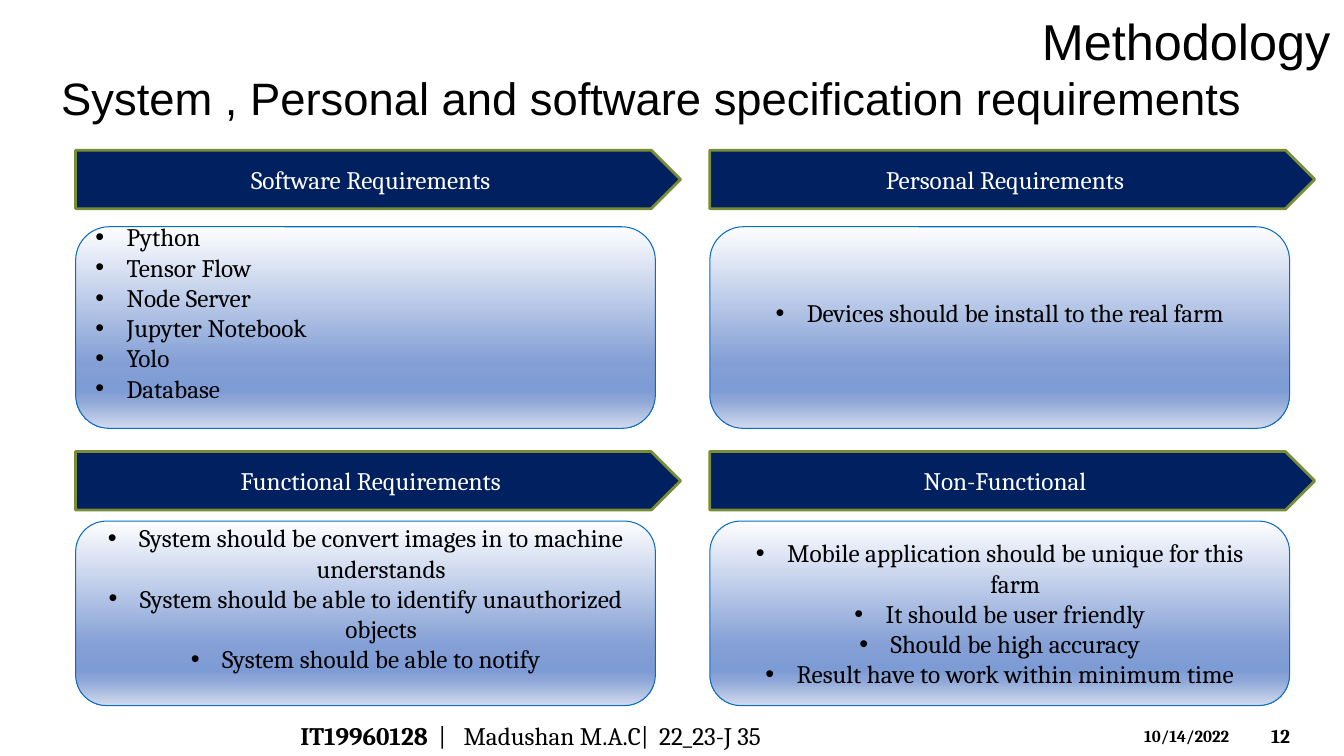
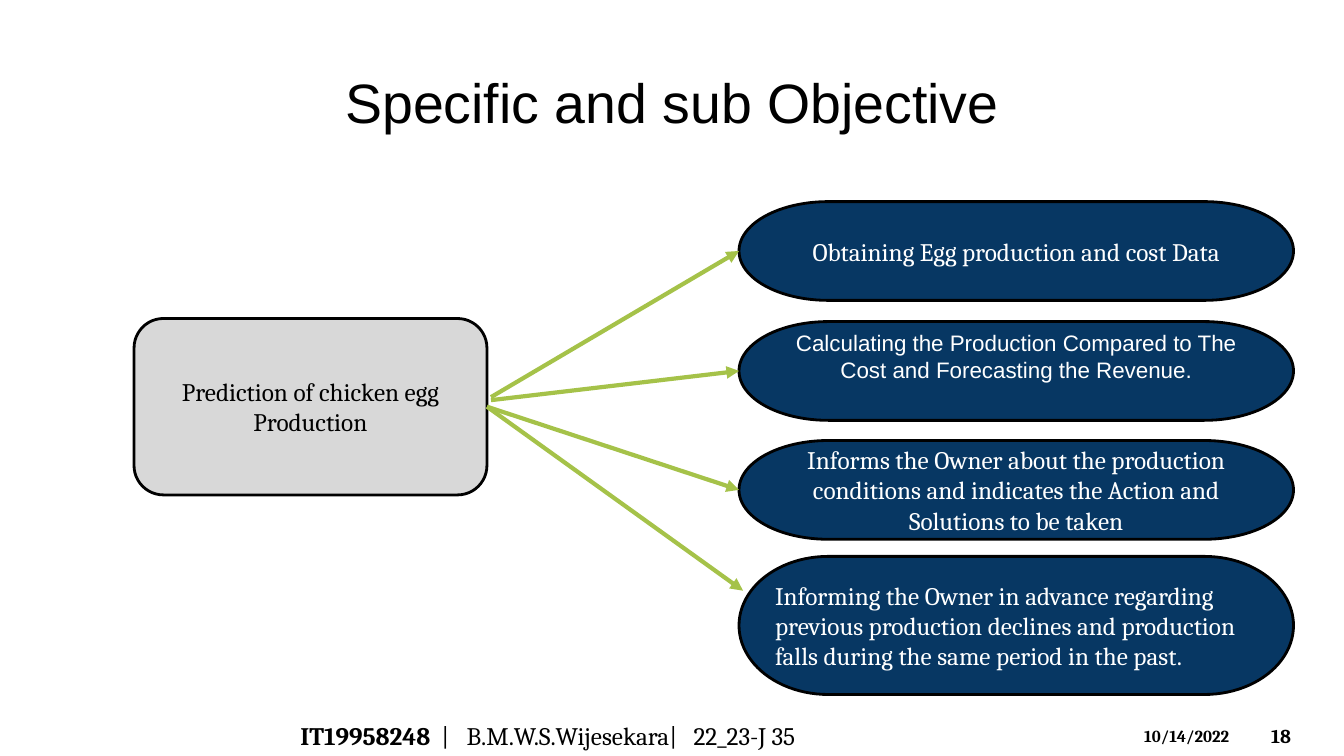
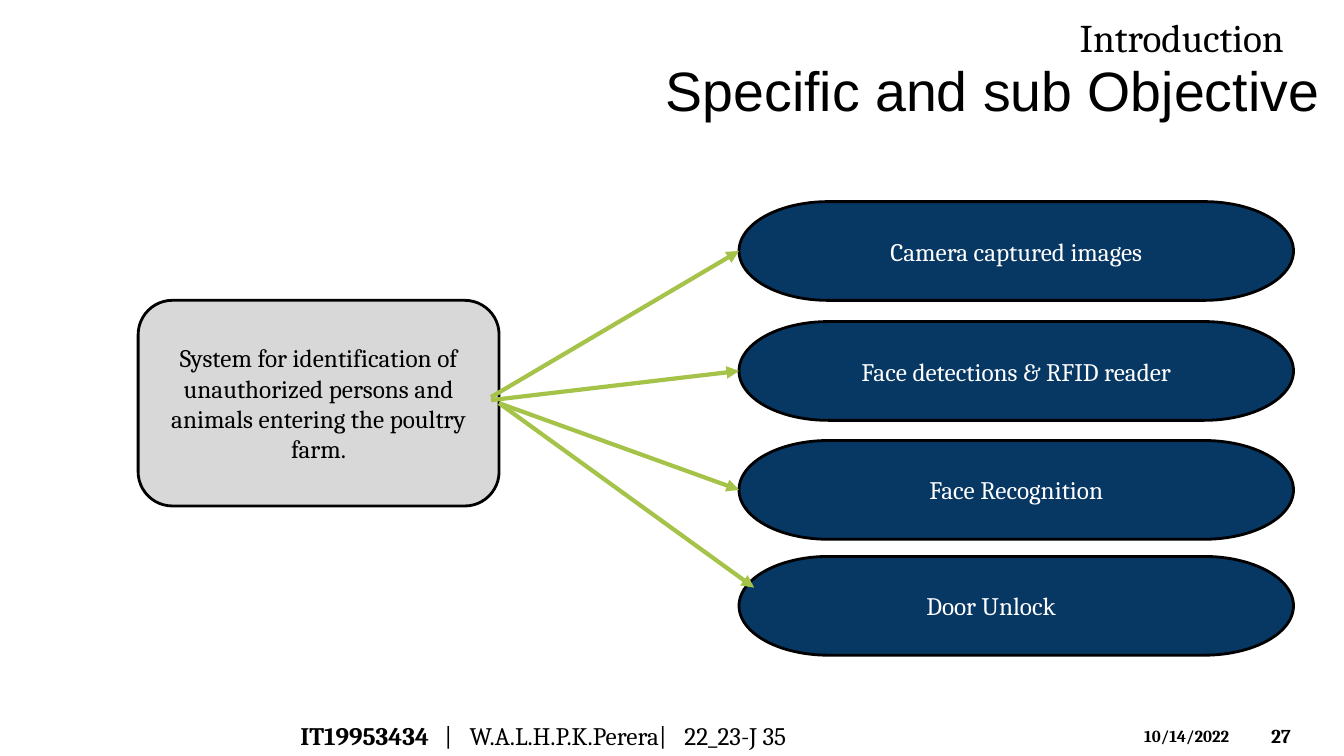
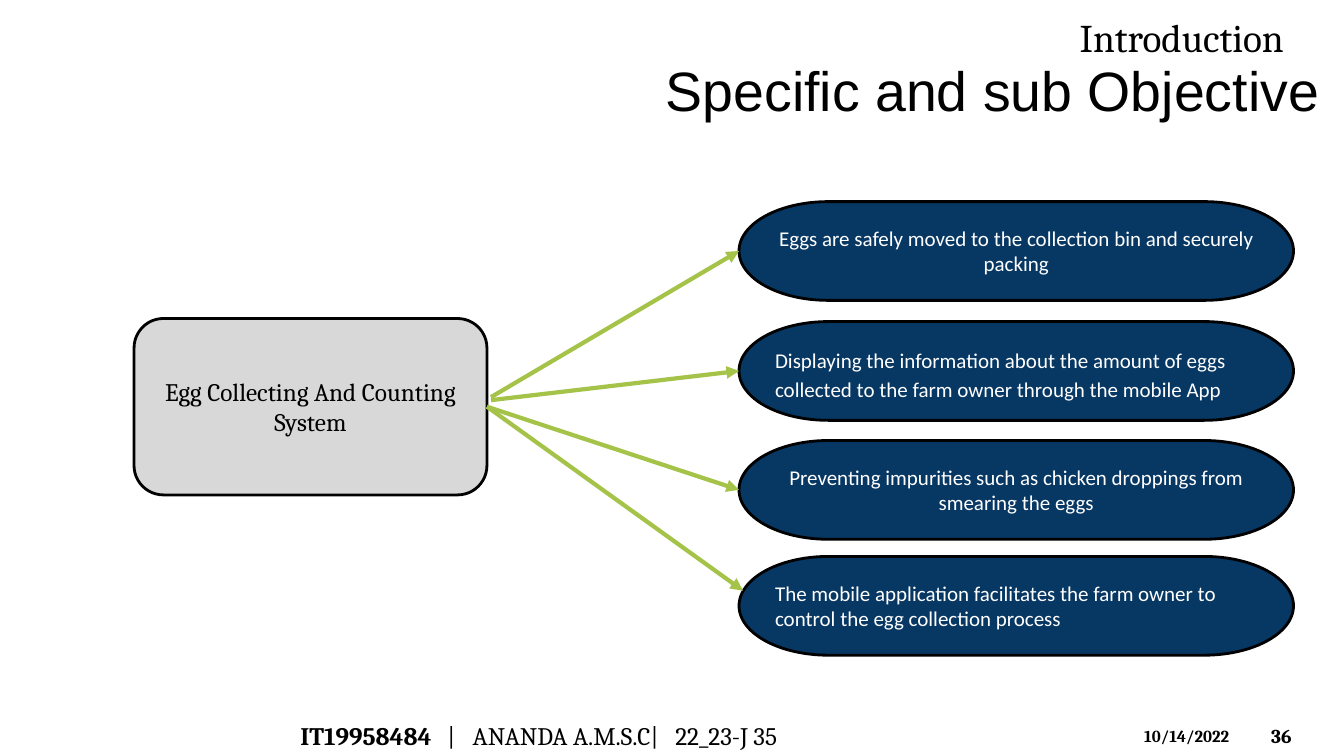
from dataclasses import dataclass
from lxml.etree import SubElement
from pptx import Presentation
from pptx.dml.color import RGBColor
from pptx.enum.shapes import MSO_CONNECTOR as Link, MSO_SHAPE as Kind
from pptx.enum.text import MSO_ANCHOR as Anchor, MSO_AUTO_SIZE as Fit, PP_ALIGN as Align
from pptx.oxml.ns import qn
from pptx.util import Inches, Pt


@dataclass(frozen=True)
class Theme:
    black: str = "000000"
    white: str = "FFFFFF"
    navy: str = "002060"
    olive: str = "788D35"
    blue: str = "096CC5"
    deep: str = "073763"
    gray: str = "D8D8D8"
    green: str = "A5C249"
    fade: tuple = ((0, "FEFEFF"), (68, "839FD5"), (81, "7D9BD4"),
                   (86, "8DA6D7"), (100, "D1DAED"))
    sans: str = "Arial"
    serif: str = "Cambria"
    plain: str = "Calibri"
    head: float = 39.6
    long: float = 32.4
    topic: int = 36
    intro: int = 28
    body: int = 18
    mid: int = 16
    small: int = 15
    page: int = 14
    date: int = 12


T = Theme()

# Content
DATE = "10/14/2022"
NEEDS = {
    "title": "System , Personal and software specification requirements",
    "topic": "Methodology",
    "page": "12",
    # Student, name, group, tab stops of the first bar and the group
    "foot": ("IT19960128", "Madushan M.A.C|", "22_23-J 35", 1.37, 3.56),
    "cards": [
        ("Software Requirements",
         ["Python", "Tensor Flow", "Node Server", "Jupyter Notebook", "Yolo", "Database"],
         {"align": Align.LEFT, "bottom": 0.35}),
        ("Personal Requirements",
         ["Devices should be install to the real farm"], {"bottom": 0.35}),
        ("Functional Requirements",
         ["System should be convert images in to machine understands",
          "System should be able to identify unauthorized objects",
          "System should be able to notify"], {"bottom": 0.35}),
        ("Non-Functional",
         ["Mobile application should be unique for this farm",
          "It should be user friendly", "Should be high accuracy",
          "Result have to work within minimum time"], {}),
    ],
}

CALM = {"font": T.plain, "size": T.small}
LEFT = {"align": Align.LEFT}
BOX = (1.33, 3.16, 3.5, 1.75)
GOALS = [
    {"title": (3.32, 0.53), "intro": False, "page": "18",
     "foot": ("IT19958248", "B.M.W.S.Wijesekara|", "22_23-J 35", 1.4, 3.9),
     "box": BOX, "root": "Prediction of chicken egg Production",
     "tip": (7.37, 5.86), "last": 1.37,
     "subs": [
         ("Obtaining Egg production and cost Data", {}),
         ("Calculating the Production Compared to The Cost and Forecasting the Revenue.",
          {"font": T.sans, "size": T.mid, "bottom": 0.35}),
         ("Informs the Owner about the production conditions and indicates the Action "
          "and Solutions to be taken", {}),
         ("Informing the Owner in advance regarding previous production declines and "
          "production falls during the same period in the past.", LEFT)]},
    {"title": (6.5, 0.41), "intro": True, "page": "27",
     "foot": ("IT19953434", "W.A.L.H.P.K.Perera|", "22_23-J 35", 1.43, 3.81),
     "box": (1.37, 2.98, 3.58, 2.04),
     "root": "System for identification of unauthorized persons and animals entering "
             "the poultry farm.",
     "tip": (7.48, 5.83), "last": 0.98,
     "subs": [
         ("Camera captured images", {}),
         ("Face detections & RFID reader", {}),
         ("Face Recognition", {}),
         ("Door Unlock", {"indent": 1.5, **LEFT})]},
    {"title": (6.5, 0.41), "intro": True, "page": "36",
     "foot": ("IT19958484", "ANANDA A.M.S.C|", "22_23-J 35", 1.46, 3.72),
     "box": BOX, "root": "Egg Collecting And Counting System",
     "tip": (7.37, 5.86), "last": 0.98,
     "subs": [
         ("Eggs are safely moved to the collection bin and securely packing", CALM),
         ("Displaying the information about the amount of eggs collected to the farm "
          "owner through the mobile App", {**CALM, **LEFT, "space": 1.15, "top": 0.08}),
         ("Preventing impurities such as chicken droppings from smearing the eggs", CALM),
         ("The mobile application facilitates the farm owner to control the egg "
          "collection process", {**CALM, **LEFT})]},
]


def rgb(code):
    return RGBColor.from_string(code)


def write(shape, text, font=T.serif, size=T.body, color=T.black, bold=False,
          align=Align.CENTER, anchor=Anchor.MIDDLE, top=0.05, bottom=0.05,
          bullet=False, indent=0, space=None, tabs=()):
    """Text is a string or a list of paragraphs; a paragraph may be (text, bold) runs."""
    frame = shape.text_frame
    frame.word_wrap = True
    frame.auto_size = Fit.NONE
    frame.vertical_anchor = anchor
    frame.margin_left = frame.margin_right = Inches(0.1)
    frame.margin_top, frame.margin_bottom = Inches(top), Inches(bottom)
    for i, part in enumerate([text] if isinstance(text, str) else text):
        para = frame.add_paragraph() if i else frame.paragraphs[0]
        props = para._p.get_or_add_pPr()
        if bullet:
            props.set("marL", str(Inches(0.31)))
            props.set("indent", str(Inches(-0.31)))
            SubElement(props, qn("a:buFont"), typeface=T.sans)
            SubElement(props, qn("a:buChar"), char="•")
        elif indent:
            props.set("marL", str(Inches(indent)))
        if tabs:
            stops = SubElement(props, qn("a:tabLst"))
            for stop in tabs:
                SubElement(stops, qn("a:tab"), pos=str(Inches(stop)), algn="l")
        para.alignment = align
        if space:
            para.line_spacing = space
        for words, heavy in [(part, bold)] if isinstance(part, str) else part:
            run = para.add_run()
            run.text = words
            run.font.name, run.font.size, run.font.bold = font, Pt(size), heavy
            run.font.color.rgb = rgb(color)


def label(slide, at, text, **form):
    write(slide.shapes.add_textbox(*map(Inches, at)), text, **form)


def block(slide, kind, at, text, fill, line, width, **form):
    shape = slide.shapes.add_shape(kind, *map(Inches, at))
    shape.shadow.inherit = False
    if isinstance(fill, str):
        shape.fill.solid()
        shape.fill.fore_color.rgb = rgb(fill)
    else:
        shape.fill.gradient()
        shape.fill.gradient_angle = 270
        stops = shape._element.spPr.find(".//" + qn("a:gsLst"))
        stops.clear()
        for spot, code in fill:
            stop = SubElement(stops, qn("a:gs"), pos=str(spot * 1000))
            SubElement(stop, qn("a:srgbClr"), val=code)
    shape.line.color.rgb = rgb(line)
    shape.line.width = Pt(width)
    write(shape, text, **form)
    return shape


def arrow(slide, start, end):
    """Each end is a point, or a (shape, side) pair to join."""
    points = [p if isinstance(p[0], float) else (0, 0) for p in (start, end)]
    line = slide.shapes.add_connector(
        Link.STRAIGHT, *(Inches(v) for p in points for v in p))
    for spot, join in ((start, line.begin_connect), (end, line.end_connect)):
        if not isinstance(spot[0], float):
            join(*spot)
    line.line.color.rgb = rgb(T.green)
    line.line.width = Pt(3)
    SubElement(line.line._get_or_add_ln(), qn("a:tailEnd"), type="triangle")
    SubElement(line._element.spPr, qn("a:effectLst"))


def start(deck, title, at, size, page, foot):
    """Add a slide with its title, footer, date and number."""
    slide = deck.slides.add_slide(deck.slide_layouts[5])
    head = slide.shapes.title
    head.left, head.top, head.width, head.height = map(Inches, at)
    write(head, title, font=T.sans, size=size)
    code, name, group, bar, end = foot
    label(slide, (2.88, 7.1, 7.45, 0.4),
          [[(code, True), (f"\t|\t{name}\t{group}", False)]],
          align=Align.LEFT, tabs=(bar, bar + 0.25, end))
    label(slide, (11.25, 7.15, 1.17, 0.3), DATE, size=T.date, bold=True,
          align=Align.LEFT, anchor=Anchor.TOP)
    label(slide, (12.51, 7.1, 0.74, 0.4), page, size=T.page, bold=True, align=Align.LEFT)
    return slide


def needs(deck, data):
    slide = start(deck, data["title"], (0.07, 0.53, 12.78, 0.87), T.long,
                  data["page"], data["foot"])
    label(slide, (10.2, 0, 3.13, 0.79), data["topic"], font=T.sans, size=T.topic)
    rows = ((1.49, 2.25, 2), (4.48, 5.17, 1.83))  # band top, card top, card height
    for i, (name, items, form) in enumerate(data["cards"]):
        left = 0.75 + i % 2 * 6.29
        band, top, high = rows[i // 2]
        block(slide, Kind.PENTAGON, (left, band, 6, 0.58), name,
              T.navy, T.olive, 2, color=T.white)
        block(slide, Kind.ROUNDED_RECTANGLE, (left, top, 5.75, high), items,
              T.fade, T.blue, 0.75, bullet=True, **form)


def goals(deck, data):
    slide = start(deck, "Specific and sub Objective", (*data["title"], 6.69, 0.95),
                  T.head, data["page"], data["foot"])
    if data["intro"]:
        label(slide, (10.61, 0.08, 2.41, 0.57), "Introduction", size=T.intro,
              align=Align.LEFT, anchor=Anchor.TOP)
    root = block(slide, Kind.ROUNDED_RECTANGLE, data["box"], data["root"],
                 T.gray, T.black, 2)
    tops = (2, 3.19, 4.37, 5.52)
    highs = (0.98, 0.98, 0.98, data["last"])
    pills = [block(slide, Kind.FLOWCHART_TERMINATOR, (7.33, top, 5.5, high), text,
                   T.deep, T.black, 2, **{"color": T.white, **form})
             for top, high, (text, form) in zip(tops, highs, data["subs"])]
    # Arrows from the main goal to its parts
    side = (root, 3)
    starts = ((4.87, 3.94), (4.87, 3.97), side, side)
    ends = [(pill, 1) for pill in pills[:3]] + [data["tip"]]
    for begin, end in zip(starts, ends):
        arrow(slide, begin, end)


def main():
    deck = Presentation()
    deck.slide_width, deck.slide_height = Inches(13.33), Inches(7.5)
    needs(deck, NEEDS)
    for data in GOALS:
        goals(deck, data)
    deck.save("out.pptx")


if __name__ == "__main__":
    main()
